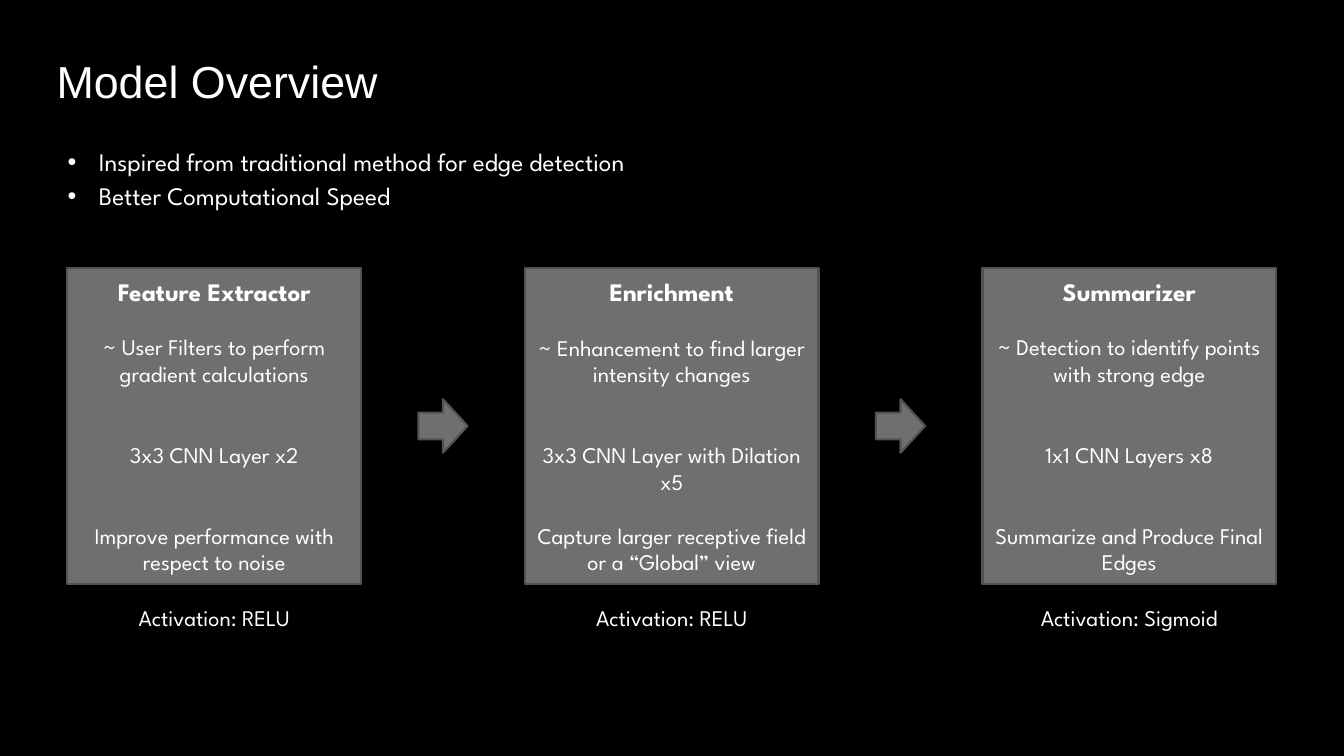
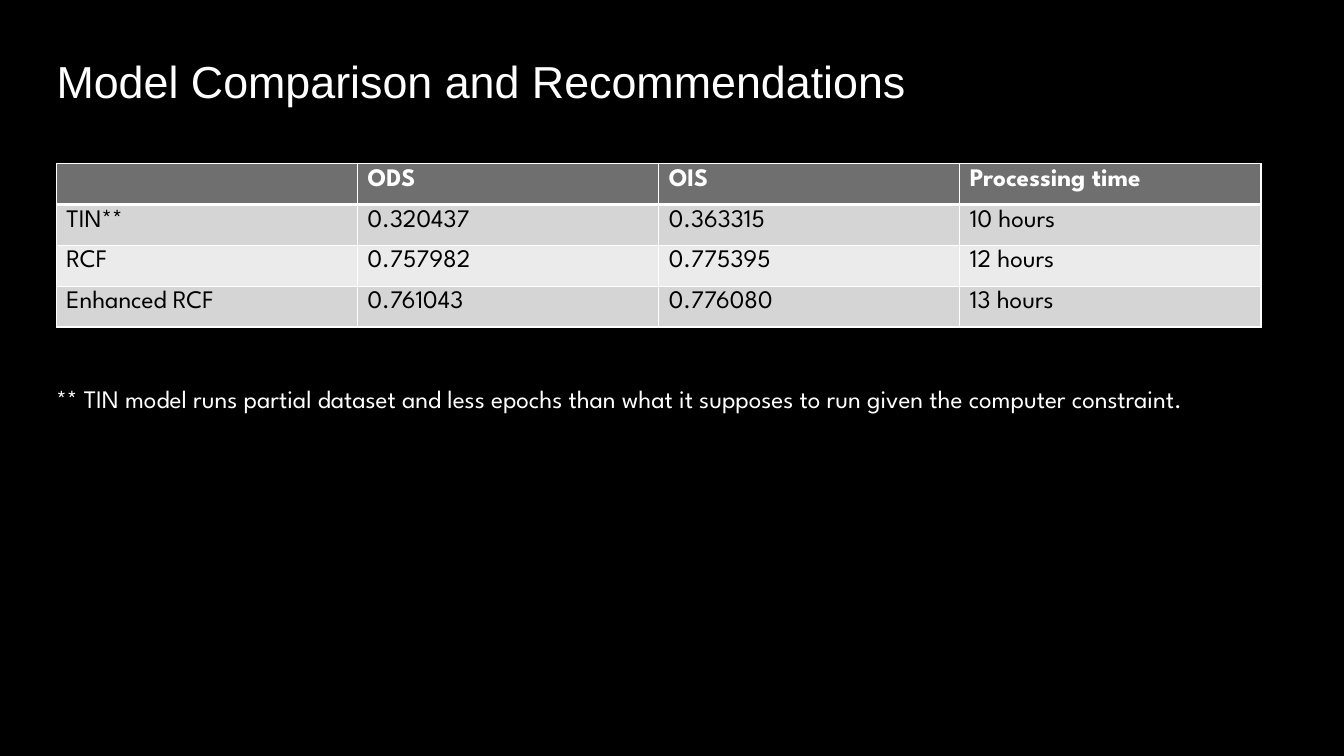
from lxml import etree
from pptx import Presentation
from pptx.dml.color import RGBColor
from pptx.enum.shapes import MSO_SHAPE
from pptx.enum.text import MSO_ANCHOR, MSO_AUTO_SIZE, PP_ALIGN
from pptx.oxml.ns import qn
from pptx.util import Cm, Pt

RECT, ARROW = MSO_SHAPE.RECTANGLE, MSO_SHAPE.RIGHT_ARROW
LEFT, CENTER = PP_ALIGN.LEFT, PP_ALIGN.CENTER
TOP, MIDDLE = MSO_ANCHOR.TOP, MSO_ANCHOR.MIDDLE
NO_FIT = MSO_AUTO_SIZE.NONE
TITLE_ONLY, TITLE_BODY = 5, 1

BLACK, WHITE = "000000", "FFFFFF"
GREY, OUTLINE = "6F6F6F", "525252"
BANDS = ("D5D5D5", "EBEBEB")
BODY_FONT = "League Spartan"
TITLE = {"name": "Arial", "size": Pt(32), "bold": False}
TEXT = {"name": BODY_FONT, "size": Pt(18), "bold": False}
HEAD = {**TEXT, "bold": True}
SMALL = {**TEXT, "size": Pt(16)}
BLANK_LINE = 19.2

STAGES = [
    ("Feature Extractor", [
        (1, "~ User Filters to perform gradient calculations"),
        (2, "3x3 CNN Layer x2"),
        (2, "Improve performance with respect to noise")], "RELU"),
    ("Enrichment", [
        (1, "~ Enhancement to find larger intensity changes"),
        (2, "3x3 CNN Layer with Dilation x5"),
        (1, "Capture larger receptive field or a “Global” view")], "RELU"),
    ("Summarizer", [
        (1, "~ Detection to identify points with strong edge"),
        (2, "1x1 CNN Layers x8"),
        (2, "Summarize and Produce Final Edges")], "Sigmoid"),
]
RESULTS = [
    ("", "ODS", "OIS", "Processing time"),
    ("TIN**", "0.320437", "0.363315", "10 hours"),
    ("RCF", "0.757982", "0.775395", "12 hours"),
    ("Enhanced RCF", "0.761043", "0.776080", "13 hours"),
]


def rgb(value):
    return RGBColor.from_string(value)


def add_text(tf, text, fmt, color=WHITE, align=LEFT, before=0, first=True):
    p = tf.paragraphs[0] if first else tf.add_paragraph()
    p.alignment = align
    p.space_before = Pt(before)
    r = p.add_run()
    r.text = text
    for key, value in fmt.items():
        setattr(r.font, key, value)
    r.font.color.rgb = rgb(color)
    return p


def set_frame(tf, anchor):
    for key, value in {"word_wrap": True, "auto_size": NO_FIT,
                       "vertical_anchor": anchor}.items():
        setattr(tf, key, value)


def place(sp, *box):
    for key, value in zip(("left", "top", "width", "height"), box):
        setattr(sp, key, Cm(value))


def add_slide(prs, layout, title):
    slide = prs.slides.add_slide(prs.slide_layouts[layout])
    sp = slide.shapes.title
    place(sp, 1.17, 0.81, 30.6, 2.46)
    set_frame(sp.text_frame, MIDDLE)
    add_text(sp.text_frame, title, TITLE)
    return slide


def add_bullets(sp, items, x, y, w, h):
    place(sp, x, y, w, h)
    tf = sp.text_frame
    set_frame(tf, TOP)
    for i, item in enumerate(items):
        p = add_text(tf, item, TEXT, first=i == 0)
        p.line_spacing = 1.14
        pPr = p._p.get_or_add_pPr()
        pPr.set("marL", str(Cm(0.79)))
        pPr.set("indent", str(-Cm(0.79)))
        etree.SubElement(pPr, qn("a:buFont")).set("typeface", "Arial")
        etree.SubElement(pPr, qn("a:buChar")).set("char", "•")


def add_block(slide, kind, x, y, w, h):
    sp = slide.shapes.add_shape(kind, Cm(x), Cm(y), Cm(w), Cm(h))
    sp.shadow.inherit = False
    sp.fill.solid()
    sp.fill.fore_color.rgb = rgb(GREY)
    sp.line.color.rgb = rgb(OUTLINE)
    sp.line.width = Pt(1.5)
    return sp


def add_label(slide, text, fmt, align, x, y, w, h):
    tf = slide.shapes.add_textbox(Cm(x), Cm(y), Cm(w), Cm(h)).text_frame
    set_frame(tf, TOP)
    add_text(tf, text, fmt, align=align)


def add_stage(slide, stage, x, y, w, h):
    name, lines, activation = stage
    tf = add_block(slide, RECT, x, y, w, h).text_frame
    set_frame(tf, MIDDLE)
    add_text(tf, name, HEAD, align=CENTER)
    for blanks, line in lines:
        add_text(tf, line, SMALL, align=CENTER,
                 before=blanks * BLANK_LINE, first=False)
    add_label(slide, f"Activation: {activation}", SMALL, CENTER,
              x, y + h + 0.38, w, 0.94)


def add_pipeline(slide, x, y, w, h):
    box_w, arrow_w, arrow_h = 7.4, 1.24, 1.35
    gap = (w - len(STAGES) * box_w) / (len(STAGES) - 1)
    for i, stage in enumerate(STAGES):
        left = x + i * (box_w + gap)
        add_stage(slide, stage, left, y, box_w, h)
        if i:
            add_block(slide, ARROW, left - (gap + arrow_w) / 2,
                      y + (h - arrow_h) / 2, arrow_w, arrow_h)


def set_borders(cell, widths):
    tcPr = cell._tc.get_or_add_tcPr()
    for side, width in widths.items():
        ln = etree.SubElement(tcPr, qn(f"a:ln{side}"), w=str(Pt(width)))
        fill = etree.SubElement(ln, qn("a:solidFill"))
        etree.SubElement(fill, qn("a:srgbClr")).set("val", WHITE)


def add_results(slide, x, y, w, h):
    table = slide.shapes.add_table(len(RESULTS), len(RESULTS[0]),
                                   Cm(x), Cm(y), Cm(w), Cm(h)).table
    for i, row in enumerate(RESULTS):
        header = i == 0
        for j, text in enumerate(row):
            cell = table.cell(i, j)
            set_borders(cell, {"L": 1, "R": 1, "T": 3 if i == 1 else 1,
                               "B": 3 if header else 1})
            cell.fill.solid()
            cell.fill.fore_color.rgb = rgb(GREY if header else BANDS[(i - 1) % 2])
            if text:
                add_text(cell.text_frame, text, HEAD if header else TEXT,
                         WHITE if header else BLACK)


def overview_slide(prs):
    slide = add_slide(prs, TITLE_BODY, "Model Overview")
    add_bullets(slide.placeholders[1],
                ["Inspired from traditional method for edge detection",
                 "Better Computational Speed"], 1.45, 3.45, 31.1, 1.93)
    add_pipeline(slide, 1.7, 6.76, 30.46, 7.95)


def comparison_slide(prs):
    slide = add_slide(prs, TITLE_ONLY, "Model Comparison and Recommendations")
    add_results(slide, 1.42, 4.12, 30.36, 4.12)
    add_label(slide, "** TIN model runs partial dataset and less epochs than what "
              "it supposes to run given the computer constraint.",
              TEXT, LEFT, 1.17, 9.53, 30.6, 1.8)


def main():
    prs = Presentation()
    prs.slide_width, prs.slide_height = Cm(33.87), Cm(19.05)
    bg = prs.slide_master.background.fill
    bg.solid()
    bg.fore_color.rgb = rgb(BLACK)
    overview_slide(prs)
    comparison_slide(prs)
    prs.save("out.pptx")


if __name__ == "__main__":
    main()
